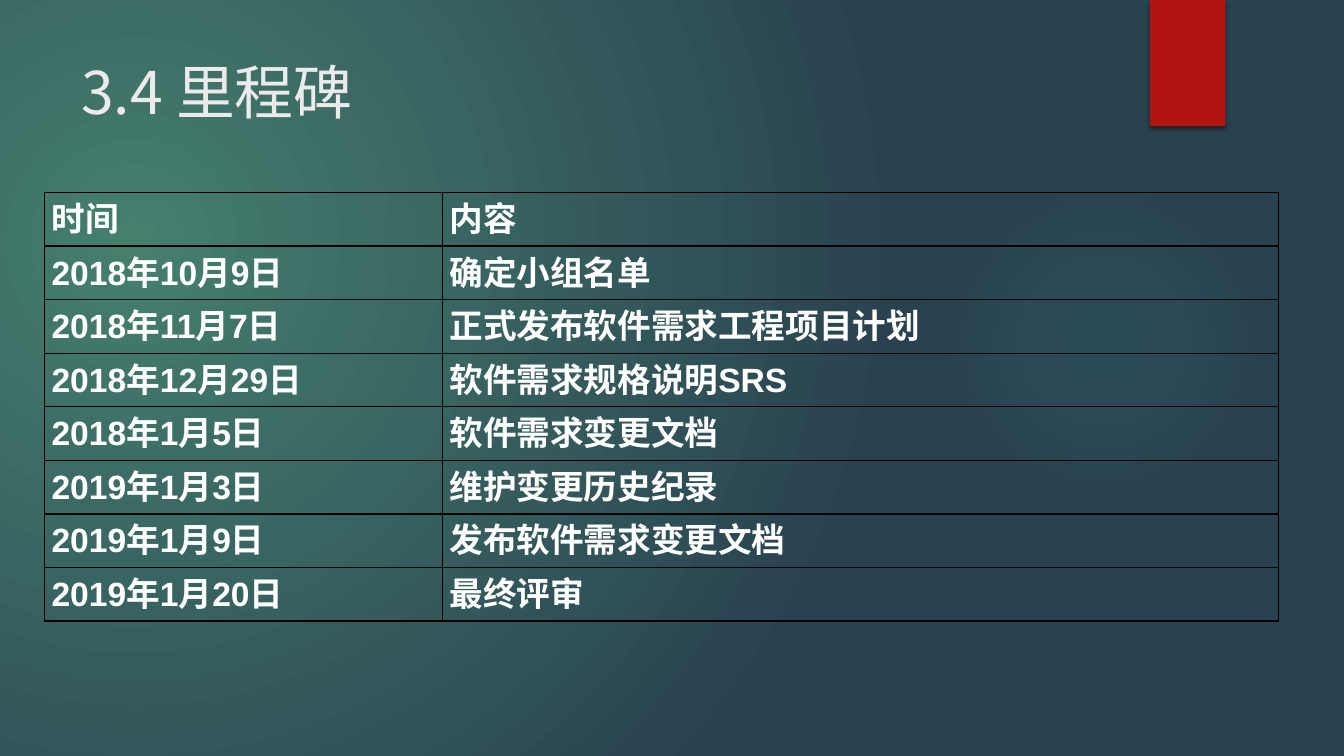
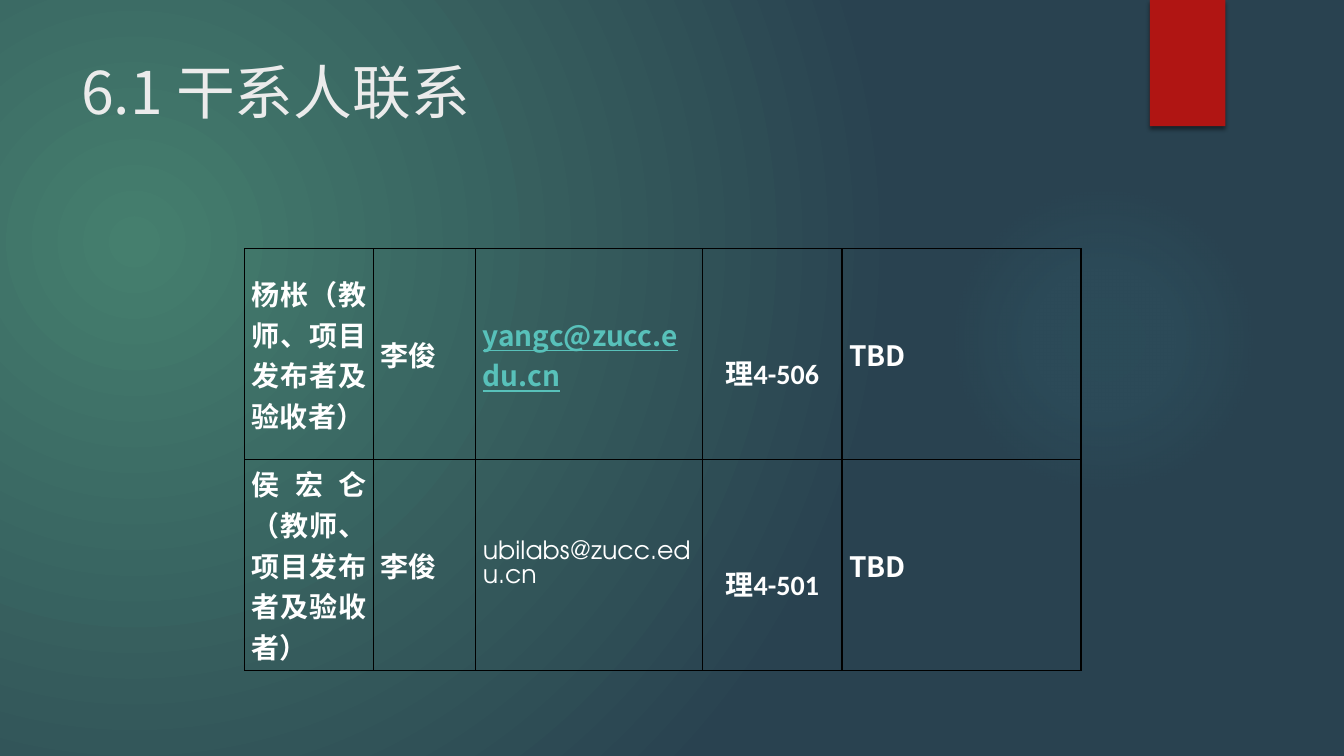
from pptx import Presentation
from pptx import util as u
from pptx.dml import color
from pptx.enum import shapes, text
from pptx.oxml import parse_xml
from pptx.oxml import ns

CJK_FONT = "Noto Sans CJK SC"
WHITE = "FFFFFF"
BLACK = "000000"
TITLE_COLOR = "EBEBEB"
LINK_COLOR = "58C1BA"
RIBBON_COLOR = "B01513"
GLOW_COLOR = "50B9C1"
BACKDROP_STOPS = [(0, "457F6E", 100), (100, "294250", 100)]
GLOW_STOPS = [(0, GLOW_COLOR, 7), (36, GLOW_COLOR, 6), (69, GLOW_COLOR, 0)]
ALIGN = text.PP_ALIGN
ANCHOR = text.MSO_ANCHOR

MILESTONES = [
    ("时间", "内容"),
    ("2018年10月9日", "确定小组名单"),
    ("2018年11月7日", "正式发布软件需求工程项目计划"),
    ("2018年12月29日", "软件需求规格说明SRS"),
    ("2018年1月5日", "软件需求变更文档"),
    ("2019年1月3日", "维护变更历史纪录"),
    ("2019年1月9日", "发布软件需求变更文档"),
    ("2019年1月20日", "最终评审"),
]
CONTACTS = [
    ("杨枨（教师、项目发布者及验收者）", "李俊", "yangc@zucc.edu.cn", "理4-506", "TBD"),
    ("侯宏仑（教师、项目发布者及验收者）", "李俊", "ubilabs@zucc.edu.cn", "理4-501", "TBD"),
]


def rgb(value):
    return color.RGBColor.from_string(value)


def paint_radial(properties, stops, focus):
    stop_xml = "".join(
        f'<a:gs pos="{position * 1000}"><a:srgbClr val="{value}">'
        f'<a:alpha val="{opacity * 1000}"/></a:srgbClr></a:gs>'
        for position, value, opacity in stops
    )
    left, top, right, bottom = (edge * 1000 for edge in focus)
    gradient = parse_xml(
        f'<a:gradFill {ns.nsdecls("a")} rotWithShape="1"><a:gsLst>{stop_xml}</a:gsLst>'
        f'<a:path path="circle"><a:fillToRect l="{left}" t="{top}" r="{right}" b="{bottom}"/>'
        "</a:path></a:gradFill>"
    )
    properties.replace(properties.find(ns.qn("a:noFill")), gradient)


def paint_backdrop(master):
    master.background.fill.background()
    properties = master.element.find(f".//{ns.qn('p:bgPr')}")
    paint_radial(properties, BACKDROP_STOPS, (45, 65, 125, 100))


def add_plain_shape(slide, kind, left, top, width, height):
    shape = slide.shapes.add_shape(kind, u.Cm(left), u.Cm(top), u.Cm(width), u.Cm(height))
    shape.shadow.inherit = False
    shape.line.fill.background()
    shape.fill.background()
    return shape


def add_glow(slide):
    glow = add_plain_shape(slide, shapes.MSO_SHAPE.OVAL, 23.9, 4.65, 7.82, 7.82)
    paint_radial(glow.element.spPr, GLOW_STOPS, (50, 50, 50, 50))


def add_ribbon(slide):
    ribbon = add_plain_shape(slide, shapes.MSO_SHAPE.RECTANGLE, 28.98, 0, 1.9, 3.18)
    ribbon.fill.solid()
    ribbon.fill.fore_color.rgb = rgb(RIBBON_COLOR)
    ribbon.element.spPr.find(ns.qn("a:effectLst")).append(parse_xml(
        f'<a:outerShdw {ns.nsdecls("a")} blurRad="{u.Pt(3)}" dist="{u.Pt(2)}" dir="5400000">'
        f'<a:srgbClr val="{BLACK}"><a:alpha val="45000"/></a:srgbClr></a:outerShdw>'
    ))


def format_text(paragraph, size, font, value, bold=False, underline=False):
    for run in paragraph.runs:
        run.font.size = u.Pt(size)
        run.font.name = font
        run.font.bold = bold
        run.font.underline = underline
        run.font.color.rgb = rgb(value)
        run.font._element.find(ns.qn("a:latin")).addnext(
            parse_xml(f'<a:ea {ns.nsdecls("a")} typeface="{CJK_FONT}"/>')
        )


def add_title(slide, title):
    box = slide.shapes.add_textbox(u.Cm(1.8), u.Cm(1.27), u.Cm(26.14), u.Cm(3.89))
    frame = box.text_frame
    frame.word_wrap = True
    frame.text = title
    format_text(frame.paragraphs[0], 42, CJK_FONT, TITLE_COLOR)


def add_slide(presentation, title):
    slide = presentation.slides.add_slide(presentation.slide_layouts[6])
    add_glow(slide)
    add_ribbon(slide)
    add_title(slide, title)
    return slide


def style_cell(cell):
    properties = cell._tc.get_or_add_tcPr()
    for side in ("lnL", "lnR", "lnT", "lnB"):
        properties.append(parse_xml(
            f'<a:{side} {ns.nsdecls("a")} w="{u.Pt(1)}"><a:solidFill>'
            f'<a:srgbClr val="{BLACK}"/></a:solidFill></a:{side}>'
        ))
    cell.fill.background()
    cell.margin_left = cell.margin_right = u.Cm(0.18)
    cell.margin_top = cell.margin_bottom = 0


def add_grid(slide, left, top, widths, row_height, rows):
    frame = slide.shapes.add_table(
        len(rows), len(widths), u.Cm(left), u.Cm(top),
        u.Cm(sum(widths)), u.Cm(row_height * len(rows)),
    )
    table = frame.table
    table.first_row = table.horz_banding = False
    for column, width in zip(table.columns, widths):
        column.width = u.Cm(width)
    for row, values in zip(table.rows, rows):
        row.height = u.Cm(row_height)
        for cell, value in zip(row.cells, values):
            cell.text_frame.text = value
            style_cell(cell)
    return table


def add_milestones(slide):
    table = add_grid(slide, 1.12, 4.85, (10.03, 21.06), 1.35, MILESTONES)
    for cell in table.iter_cells():
        format_text(cell.text_frame.paragraphs[0], 24, "Arial", WHITE, bold=True)


def add_contacts(slide):
    table = add_grid(slide, 6.17, 6.27, (3.25, 2.57, 5.72, 3.51, 6.02), 5.31, CONTACTS)
    fonts = ("Calibri", "Calibri", CJK_FONT, "Calibri", CJK_FONT)
    for row in table.rows:
        for cell, font in zip(row.cells, fonts):
            cell.vertical_anchor = ANCHOR.MIDDLE
            paragraph = cell.text_frame.paragraphs[0]
            paragraph.alignment = ALIGN.JUSTIFY
            if cell is not None and paragraph.text.startswith("理"):
                cell.vertical_anchor = ANCHOR.TOP
                cell.margin_top = u.Cm(2.6)
                paragraph.alignment = ALIGN.CENTER
            if paragraph.text.startswith("yangc"):
                format_text(paragraph, 20, font, LINK_COLOR, bold=True, underline=True)
            elif paragraph.text.startswith("ubilabs"):
                format_text(paragraph, 18, "TeX Gyre Adventor", WHITE)
            else:
                format_text(paragraph, 20, font, WHITE, bold=True)


def main():
    presentation = Presentation()
    presentation.slide_width = u.Cm(33.87)
    presentation.slide_height = u.Cm(19.05)
    paint_backdrop(presentation.slide_master)
    add_milestones(add_slide(presentation, "3.4 里程碑"))
    add_contacts(add_slide(presentation, "6.1 干系人联系"))
    presentation.save("out.pptx")


if __name__ == "__main__":
    main()
